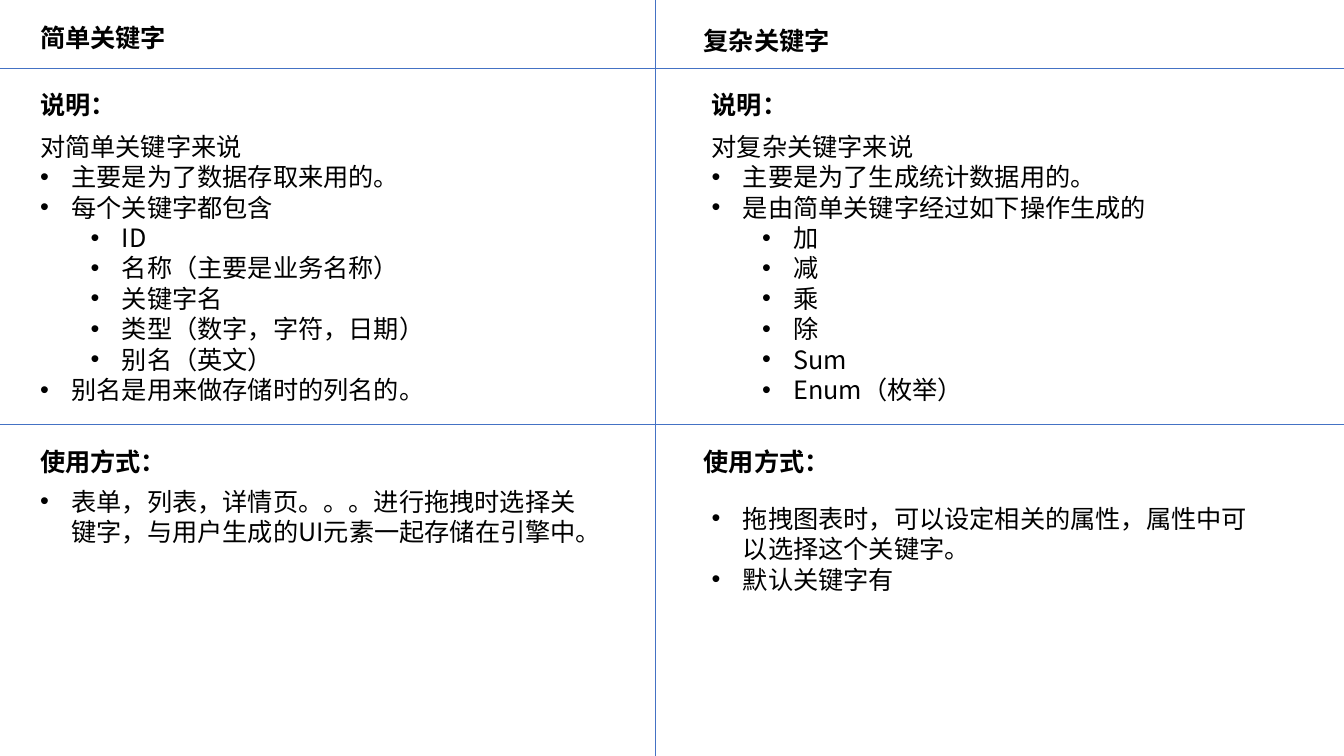
import pptx
import pptx.dml.color
import pptx.enum.shapes
import pptx.enum.text
import pptx.oxml.ns
import pptx.util
from lxml import etree

Inches = pptx.util.Inches
Pt = pptx.util.Pt
qn = pptx.oxml.ns.qn

COLORS = {"text": "000000", "rule": "4472C4", "background": "FFFFFF"}


class KeywordSlide:
    """Draw the keyword comparison with one shared text and line style."""

    font_name = "Noto Sans CJK SC"
    font_format = {"name": font_name, "size": Pt(18)}
    frame_format = {
        "word_wrap": True,
        "auto_size": pptx.enum.text.MSO_AUTO_SIZE.NONE,
        "vertical_anchor": pptx.enum.text.MSO_ANCHOR.TOP,
    }
    hanging = 0.31
    level_step = 0.5

    def __init__(self, prs):
        self.slide = prs.slides.add_slide(prs.slide_layouts[6])
        fill = self.slide.background.fill
        fill.solid()
        fill.fore_color.rgb = self.color("background")

    def color(self, key):
        return pptx.dml.color.RGBColor.from_string(COLORS[key])

    def apply(self, target, values):
        for name, value in values.items():
            setattr(target, name, value)

    def rule(self, x1, y1, x2, y2):
        line = self.slide.shapes.add_connector(
            pptx.enum.shapes.MSO_CONNECTOR.STRAIGHT,
            Inches(x1), Inches(y1), Inches(x2), Inches(y2))
        line.line.color.rgb = self.color("rule")
        line.line.width = Pt(0.5)
        etree.SubElement(line._element.spPr, qn("a:effectLst"))

    def bullet(self, p, level):
        p.level = level
        pPr = p._p.get_or_add_pPr()
        pPr.set("marL", str(Inches(self.hanging + level * self.level_step)))
        pPr.set("indent", str(-Inches(self.hanging)))
        etree.SubElement(pPr, qn("a:buFont"), typeface="Arial")
        etree.SubElement(pPr, qn("a:buChar"), char="•")

    def text(self, x, y, width, height, lines, bold=False):
        sp = self.slide.shapes.add_textbox(
            Inches(x), Inches(y), Inches(width), Inches(height))
        tf = sp.text_frame
        self.apply(tf, self.frame_format)
        for i, (level, words) in enumerate(lines):
            p = tf.add_paragraph() if i else tf.paragraphs[0]
            p.line_spacing = Pt(21.7)
            if level is not None:
                self.bullet(p, level)
            r = p.add_run()
            r.text = words
            self.apply(r.font, {**self.font_format, "bold": bold})
            r.font.color.rgb = self.color("text")
            etree.SubElement(r._r.get_or_add_rPr(), qn("a:ea"),
                             typeface=self.font_name)

    def heading(self, x, y, words):
        self.text(x, y, 2.88, 0.4, [(None, words)], bold=True)

    def body(self, x, y, height, lines):
        self.text(x, y, 5.61, height, lines)


COLUMNS = [
    {
        "title": (0.3, 0.17, "简单关键字"),
        "heading_x": 0.3,
        "body_x": 0.3,
        "usage_y": 4.77,
        "description": [
            (None, "对简单关键字来说"),
            (0, "主要是为了数据存取来用的。"),
            (0, "每个关键字都包含"),
            (1, "ID"),
            (1, "名称（主要是业务名称）"),
            (1, "关键字名"),
            (1, "类型（数字，字符，日期）"),
            (1, "别名（英文）"),
            (0, "别名是用来做存储时的列名的。"),
        ],
        "usage": [
            (0, "表单，列表，详情页。。。进行拖拽时选择关键字，"
                "与用户生成的UI元素一起存储在引擎中。"),
        ],
    },
    {
        "title": (6.88, 0.2, "复杂关键字"),
        "heading_x": 6.88,
        "body_x": 6.96,
        "usage_y": 4.94,
        "description": [
            (None, "对复杂关键字来说"),
            (0, "主要是为了生成统计数据用的。"),
            (0, "是由简单关键字经过如下操作生成的"),
            *[(1, name) for name in
              ("加", "减", "乘", "除", "Sum", "Enum（枚举）")],
        ],
        "usage": [
            (0, "拖拽图表时，可以设定相关的属性，"
                "属性中可以选择这个关键字。"),
            (0, "默认关键字有"),
        ],
    },
]


def main():
    width, height = 13.33, 7.5
    prs = pptx.Presentation()
    prs.slide_width, prs.slide_height = Inches(width), Inches(height)
    s = KeywordSlide(prs)
    for y in (0.68, 4.21):
        s.rule(0, y, width, y)
    s.rule(6.5, 0, 6.5, height)
    for column in COLUMNS:
        s.heading(*column["title"])
        s.heading(column["body_x"], 0.84, "说明：")
        s.body(column["body_x"], 1.25, 3.13, column["description"])
        s.heading(column["heading_x"], 4.38, "使用方式：")
        s.body(column["body_x"], column["usage_y"], 1.31, column["usage"])
    prs.save("out.pptx")


if __name__ == "__main__":
    main()
